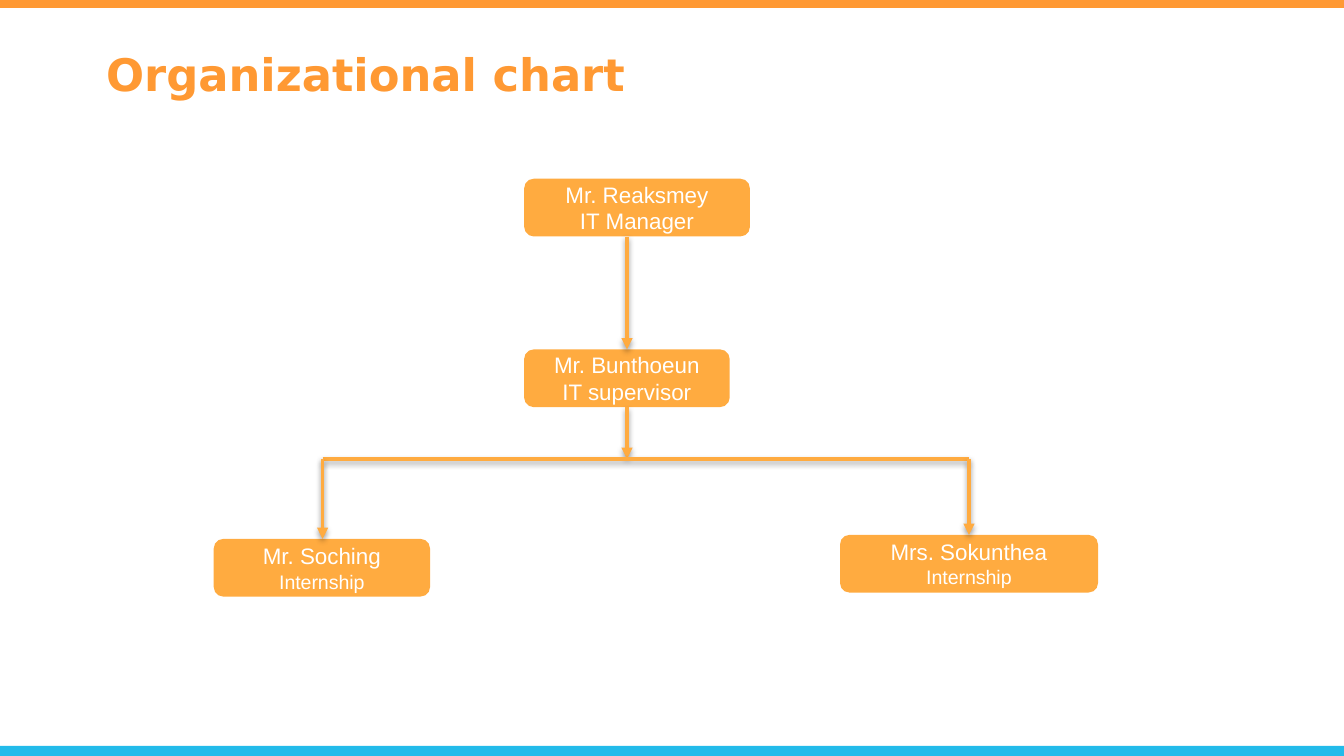
import dataclasses

import lxml.etree
import pptx
import pptx.dml.color
import pptx.enum.shapes
import pptx.enum.text
import pptx.oxml.ns
import pptx.util

HUES = {"title": "FF9933", "foot": "22BBEA", "node": "FFAB40", "text": "FFFFFF", "shade": "000000"}
WIDE = pptx.util.Inches(10)
HIGH = WIDE * 9 // 16
COLS, ROWS = 100, 56.25
TALL = 4.3
BUS = 34.15
SHAPE = pptx.enum.shapes.MSO_SHAPE
ALIGN = pptx.enum.text.PP_ALIGN
ANCHOR = pptx.enum.text.MSO_ANCHOR


@dataclasses.dataclass(frozen=True)
class Node:
    name: str
    role: str
    col: float
    row: float
    span: float
    size: float = 12

    @property
    def base(self) -> float:
        return self.row + TALL


@dataclasses.dataclass(frozen=True)
class Link:
    start: tuple[float, float]
    end: tuple[float, float]
    arrow: bool = True


def across(col: float) -> int:
    return round(WIDE * col / COLS)


def down(row: float) -> int:
    return round(HIGH * row / ROWS)


def hue(key: str) -> pptx.dml.color.RGBColor:
    return pptx.dml.color.RGBColor.from_string(HUES[key])


def style(part, size: float, font: str, key: str, bold: bool = False) -> None:
    for run in part.runs:
        run.font.size = pptx.util.Pt(size)
        run.font.name = font
        run.font.bold = bold
        run.font.color.rgb = hue(key)


def block(slide, kind, area: tuple[float, float, float, float], key: str):
    col, row, span, tall = area
    shape = slide.shapes.add_shape(kind, across(col), down(row), across(span), down(tall))
    shape.shadow.inherit = False
    shape.fill.solid()
    shape.fill.fore_color.rgb = hue(key)
    shape.line.fill.background()
    return shape


def draw_node(slide, node: Node) -> None:
    shape = block(slide, SHAPE.ROUNDED_RECTANGLE, (node.col, node.row, node.span, TALL), "node")
    frame = shape.text_frame
    frame.text = f"{node.name}\n{node.role}"
    frame.vertical_anchor = ANCHOR.MIDDLE
    for part, size in zip(frame.paragraphs, (12, node.size)):
        part.alignment = ALIGN.CENTER
        style(part, size, "Arial", "text")


def add_tag(root, tag: str, **attrs: str):
    return lxml.etree.SubElement(root, pptx.oxml.ns.qn(tag), attrs)


def draw_link(slide, link: Link) -> None:
    (left, top), (right, low) = link.start, link.end
    line = slide.shapes.add_connector(
        pptx.enum.shapes.MSO_CONNECTOR.STRAIGHT,
        across(left), down(top), across(right), down(low))
    line.line.color.rgb = hue("node")
    line.line.width = pptx.util.Pt(2)
    props = line._element.spPr
    if link.arrow:
        add_tag(props.find(pptx.oxml.ns.qn("a:ln")), "a:tailEnd", type="triangle")
    glow = add_tag(props, "a:effectLst")
    shade = add_tag(glow, "a:outerShdw", blurRad=str(pptx.util.Pt(3.1)),
                    dist=str(pptx.util.Pt(1.6)), dir="5400000", rotWithShape="0")
    tint = add_tag(shade, "a:srgbClr", val=HUES["shade"])
    add_tag(tint, "a:alpha", val="38000")


def draw_title(slide, text: str) -> None:
    title = slide.shapes.title
    title.left, title.top = across(6.9), down(3)
    title.width, title.height = across(86.2), down(6.7)
    frame = title.text_frame
    frame.text = text
    frame.auto_size = pptx.enum.text.MSO_AUTO_SIZE.NONE
    frame.vertical_anchor = ANCHOR.TOP
    frame.paragraphs[0].alignment = ALIGN.LEFT
    style(frame.paragraphs[0], 24, "DejaVu Sans", "title", True)


def main() -> None:
    """Build the staff chart slide."""
    deck = pptx.Presentation()
    deck.slide_width, deck.slide_height = WIDE, HIGH
    slide = deck.slides.add_slide(deck.slide_layouts[5])
    block(slide, SHAPE.RECTANGLE, (0, 55.5, COLS, 0.9), "foot")
    block(slide, SHAPE.RECTANGLE, (0, 0, COLS, 0.6), "title")
    draw_title(slide, "Organizational chart")

    head = Node("Mr. Reaksmey", "IT Manager", 39, 13.3, 16.8)
    lead = Node("Mr. Bunthoeun", "IT supervisor", 39, 26, 15.3)
    first = Node("Mr. Soching", "Internship", 15.9, 40.1, 16.1, 10.5)
    last = Node("Mrs. Sokunthea", "Internship", 62.5, 39.8, 19.2, 10.5)
    for node in (head, lead, first, last):
        draw_node(slide, node)

    stem, west, east = lead.col + lead.span / 2, 24, 72.1
    links = (
        Link((stem, head.base), (stem, lead.row)),
        Link((stem, lead.base), (stem, BUS)),
        Link((west, BUS), (east, BUS), arrow=False),
        Link((west, BUS), (west, first.row)),
        Link((east, BUS), (east, last.row)),
    )
    for link in links:
        draw_link(slide, link)
    deck.save("out.pptx")


if __name__ == "__main__":
    main()
